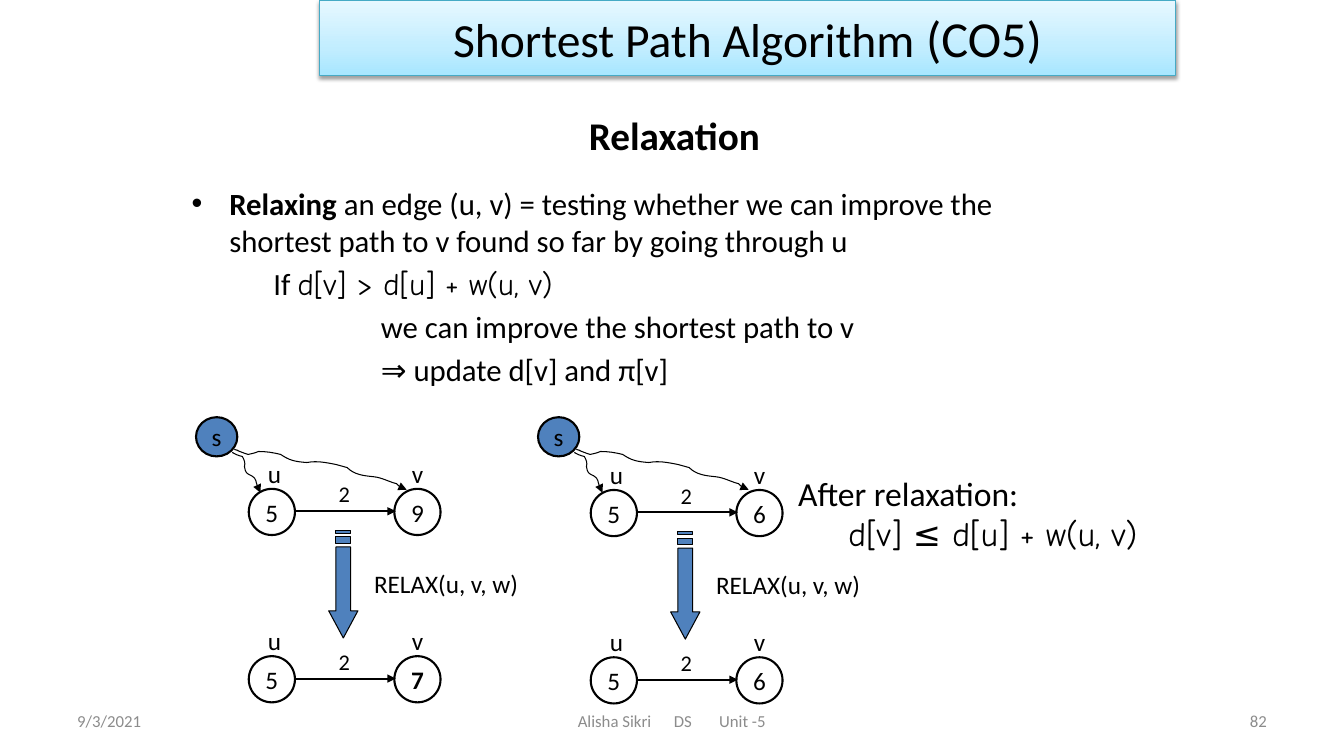
import dataclasses

import lxml.etree
import pptx
import pptx.dml.color
import pptx.enum.shapes
import pptx.enum.text
import pptx.oxml.ns
import pptx.util

Pt = pptx.util.Pt
qn = pptx.oxml.ns.qn
ALIGN = pptx.enum.text.PP_ALIGN
MIDDLE = pptx.enum.text.MSO_ANCHOR.MIDDLE
SHAPE = pptx.enum.shapes.MSO_SHAPE


@dataclasses.dataclass(frozen=True)
class Theme:
    font: str = "Calibri"
    formula_font: str = "Comic Neue"
    ink: str = "000000"
    accent: str = "4F81BD"
    muted: str = "8C8C8C"
    banner_line: str = "46AAC5"
    banner_stops: tuple = ((0, "A7E6FF"), (35, "C1EDFF"), (100, "E7F8FF"))
    banner_size: int = 34
    banner_code_size: int = 36
    title_size: int = 28
    note_size: int = 24
    body_size: int = 22
    label_size: int = 18
    weight_size: int = 16
    footer_size: int = 12
    thick: float = 1.5
    thin: float = 0.75


THEME = Theme()

# Cubic curves from a source node: start point, then three points per segment.
PATH_TO_U = [
    (25.9, 25.2), (28.1, 26.6), (30.2, 27.4), (33.1, 28.1),
    (34.6, 31), (35.3, 32.4), (34.6, 35.3), (35.3, 39.6), (36, 40.3), (39.6, 41.8),
    (43.9, 44.6), (41.8, 46.1), (44.6, 50.4), (45.4, 53.3), (44.6, 51.8), (46.1, 54),
]
PATH_TO_V = [
    (27.4, 23), (34.6, 25.2), (23.8, 21.6), (33.1, 25.2),
    (34.6, 25.9), (37.4, 26.6), (37.4, 26.6), (43.2, 25.2), (41, 25.9), (44.6, 24.5),
    (50.4, 24.5), (54.7, 25.2), (60.5, 26.6), (67, 31), (70.6, 31.7), (79.2, 32.4),
    (86.4, 31), (92.9, 32.4), (100.1, 33.8), (103, 34.6), (108, 36), (108, 36),
    (113, 41), (119.5, 41.8), (126.7, 42.5), (133.2, 43.2), (137.5, 46.1), (143.3, 47.5),
    (144, 49), (146.9, 50.4), (147.6, 51.1), (148.3, 51.1), (150.5, 51.8), (150.5, 51.8),
]
RELAX_ARROW = [
    [(57.6, 0), (57.6, 5.2), (12, 5.2), (12, 15.7), (57.6, 15.7), (57.6, 20.9), (77, 10.45)],
    [(4.8, 5.2), (4.8, 15.7), (9.6, 15.7), (9.6, 5.2)],
    [(0, 5.2), (0, 15.7), (2.4, 15.7), (2.4, 5.2)],
]


def rgb(value):
    return pptx.dml.color.RGBColor.from_string(value)


def add_xml(parent, tag, **attributes):
    return lxml.etree.SubElement(parent, qn(tag), **attributes)


def place(shape, left, top, width, height):
    shape.left, shape.top, shape.width, shape.height = map(Pt, (left, top, width, height))


def write(paragraph, runs, size, bold=None, align=None, color=THEME.ink, font=THEME.font):
    """Fill a paragraph from a string or from (text, font overrides) pairs."""
    for text, overrides in [(runs, {})] if isinstance(runs, str) else runs:
        run = paragraph.add_run()
        run.text = text
        for name, value in overrides.items():
            setattr(run.font, name, value)
    paragraph.alignment = align
    paragraph.font.size = Pt(size)
    paragraph.font.name = font
    paragraph.font.bold = bold
    paragraph.font.color.rgb = rgb(color)


def indent(paragraph, left):
    properties = paragraph._p.get_or_add_pPr()
    properties.set("marL", str(Pt(left)))
    properties.set("indent", "0")
    add_xml(properties, "a:buNone")


def set_line(shape, width, color=THEME.ink, arrow=False):
    shape.line.width = Pt(width)
    shape.line.color.rgb = rgb(color)
    if arrow:
        add_xml(shape._element.spPr.find(qn("a:ln")), "a:tailEnd", type="triangle")


def set_fill(shape, color):
    shape.shadow.inherit = False
    if color:
        shape.fill.solid()
        shape.fill.fore_color.rgb = rgb(color)
    else:
        shape.fill.background()


def add_label(shapes, box, text, size=THEME.label_size):
    label = shapes.add_textbox(*map(Pt, box))
    label.text_frame.word_wrap = False
    label.text_frame.auto_size = pptx.enum.text.MSO_AUTO_SIZE.SHAPE_TO_FIT_TEXT
    write(label.text_frame.paragraphs[0], text, size)


def add_node(shapes, box, text, fill=None, bold=None):
    node = shapes.add_shape(SHAPE.OVAL, *map(Pt, box))
    set_fill(node, fill)
    set_line(node, THEME.thick)
    node.text_frame.word_wrap = False
    node.text_frame.vertical_anchor = MIDDLE
    write(node.text_frame.paragraphs[0], text, THEME.label_size, bold, ALIGN.CENTER)


def add_edge(slide, left, top, distance, bold=None):
    """Nodes u and v joined by an edge of weight 2; v shows the given distance."""
    shapes = slide.shapes.add_group_shape().shapes
    add_node(shapes, (left, top, 33, 33), "5")
    add_node(shapes, (left + 104, top, 33, 33), distance, bold=bold)
    ends = (left + 32.5, top + 16, left + 105, top + 16)
    edge = shapes.add_connector(pptx.enum.shapes.MSO_CONNECTOR.STRAIGHT, *map(Pt, ends))
    set_line(edge, THEME.thick, arrow=True)
    add_xml(edge._element.spPr, "a:effectLst")
    add_label(shapes, (left + 57, top - 9.5, 23, 26.6), "2", THEME.weight_size)
    add_label(shapes, (left + 6.5, top - 25.7, 24.5, 29), "u")
    add_label(shapes, (left + 109.5, top - 25.7, 23.8, 29), "v")


def add_curve(shapes, left, top, points):
    start, *others = [(Pt(x), Pt(y)) for x, y in points]
    builder = shapes.build_freeform(*start)
    builder.add_line_segments(others, close=False)
    curve = builder.convert_to_shape(Pt(left), Pt(top))
    path = curve._element.find(".//" + qn("a:path"))
    segments = path.findall(qn("a:lnTo"))
    for first in range(0, len(segments), 3):
        bezier = add_xml(path, "a:cubicBezTo")
        for segment in segments[first:first + 3]:
            bezier.append(segment[0])
            path.remove(segment)
    set_fill(curve, None)
    set_line(curve, THEME.thin, arrow=True)


def add_source(slide, left, top):
    shapes = slide.shapes.add_group_shape().shapes
    add_node(shapes, (left, top, 29.5, 28), "s", THEME.accent)
    add_curve(shapes, left, top, PATH_TO_U)
    add_curve(shapes, left, top, PATH_TO_V)


def add_relax_step(slide, left, top):
    """Striped arrow pointing down, with the call beside it."""
    builder = slide.shapes.build_freeform(*map(Pt, RELAX_ARROW[0][0]))
    for index, outline in enumerate(RELAX_ARROW):
        start, *others = [(Pt(x), Pt(y)) for x, y in outline]
        if index:
            builder.move_to(*start)
        builder.add_line_segments(others, close=True)
    arrow = builder.convert_to_shape(Pt(left), Pt(top))
    arrow.rotation = 90
    set_fill(arrow, THEME.accent)
    set_line(arrow, THEME.thin)
    add_label(slide.shapes, (left + 53.4, top - 4.3, 119, 29), "RELAX(u, v, w)")


def add_banner(slide):
    banner = slide.shapes.add_shape(SHAPE.RECTANGLE, Pt(228), Pt(0), Pt(612), Pt(54))
    banner.fill.gradient()
    banner.fill.gradient_angle = 90
    stops = banner._element.spPr.find(".//" + qn("a:gsLst"))
    stops.clear()
    for position, color in THEME.banner_stops:
        stop = add_xml(stops, "a:gs", pos=str(position * 1000))
        add_xml(stop, "a:srgbClr", val=color)
    set_line(banner, THEME.thin, THEME.banner_line)
    banner.shadow.inherit = False
    effects = banner._element.spPr.find(qn("a:effectLst"))
    shadow = add_xml(effects, "a:outerShdw", blurRad=str(Pt(3.1)), dist=str(Pt(1.6)),
                     dir="5400000", rotWithShape="0")
    add_xml(add_xml(shadow, "a:srgbClr", val=THEME.ink), "a:alpha", val="38000")
    banner.text_frame.vertical_anchor = MIDDLE
    runs = [("Shortest Path Algorithm", {}), (" (CO5)", {"size": Pt(THEME.banner_code_size)})]
    write(banner.text_frame.paragraphs[0], runs, THEME.banner_size, align=ALIGN.CENTER)


def add_body(body):
    place(body, 129.6, 128.2, 648, 229.7)
    frame = body.text_frame
    frame.auto_size = pptx.enum.text.MSO_AUTO_SIZE.NONE
    frame.paragraphs[0].space_before = Pt(0)
    write(frame.paragraphs[0], [
        ("Relaxing ", {"bold": True}),
        ("an edge (u, v) = testing whether we can improve the shortest path to v "
         "found so far by going through u", {})], THEME.body_size)
    for left, runs in (
        (58.5, [("If ", {}), ("d[v] > d[u] + w(u, v)", {"name": THEME.formula_font})]),
        (135.3, "we can improve the shortest path to v"),
        (135.3, "⇒ update d[v] and π[v]"),
    ):
        paragraph = frame.add_paragraph()
        paragraph.level = 1
        indent(paragraph, left)
        write(paragraph, runs, THEME.body_size)


def add_result(slide):
    frame = slide.shapes.add_textbox(Pt(563), Pt(334), Pt(267), Pt(65.5)).text_frame
    frame.word_wrap = True
    write(frame.paragraphs[0], "After relaxation:", THEME.note_size)
    formula = frame.add_paragraph()
    formula.level = 1
    indent(formula, 36)
    write(formula, "d[v] ≤ d[u] + w(u, v)", THEME.note_size, font=THEME.formula_font)


def add_footer(slide, left, width, text, align=ALIGN.LEFT, tabs=()):
    frame = slide.shapes.add_textbox(Pt(left), Pt(500.4), Pt(width), Pt(28.8)).text_frame
    frame.word_wrap = True
    frame.vertical_anchor = MIDDLE
    paragraph = frame.paragraphs[0]
    if tabs:
        tab_list = add_xml(paragraph._p.get_or_add_pPr(), "a:tabLst")
        for position in tabs:
            add_xml(tab_list, "a:tab", pos=str(Pt(position)), algn="l")
    write(paragraph, text, THEME.footer_size, align=align, color=THEME.muted)


def main():
    presentation = pptx.Presentation()
    presentation.slide_width, presentation.slide_height = Pt(960), Pt(540)
    slide = presentation.slides.add_slide(presentation.slide_layouts[1])
    title, body = slide.placeholders
    place(title, 157.7, 51, 648, 90)
    write(title.text_frame.paragraphs[0], "Relaxation", THEME.title_size, True, ALIGN.CENTER)
    add_body(body)
    for left, top, before, after, changed in (
        (177.7, 349.2, "9", "7", True), (422, 350, "6", "6", None),
    ):
        add_edge(slide, left, top, before)
        add_edge(slide, left, top + 119.5, after, changed)
        add_relax_step(slide, left + 29, top + 57.6)
        add_source(slide, left - 37.7, 298)
    add_result(slide)
    add_banner(slide)
    add_footer(slide, 48, 224, "9/3/2021")
    add_footer(slide, 688, 224, "82", ALIGN.RIGHT)
    add_footer(slide, 405.6, 170, "Alisha Sikri\tDS\tUnit -5", tabs=(68.6, 101))
    presentation.save("out.pptx")


if __name__ == "__main__":
    main()
